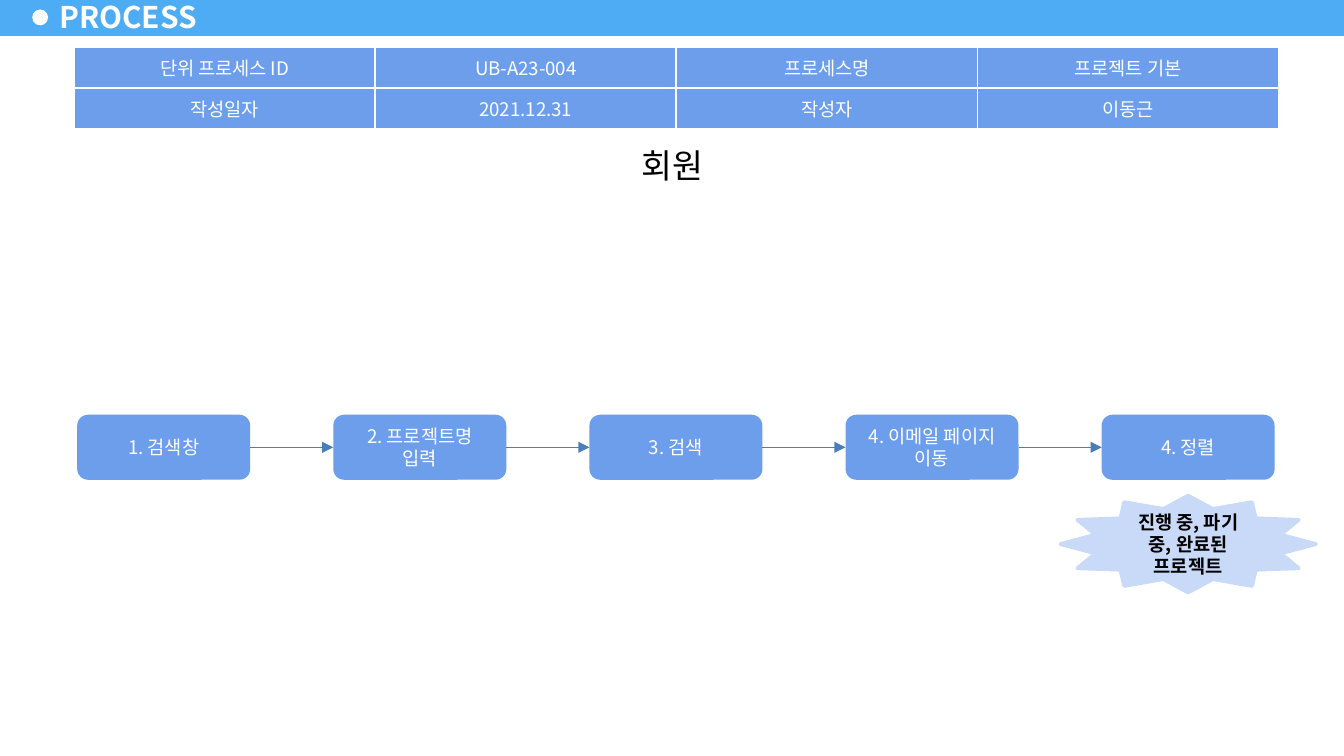
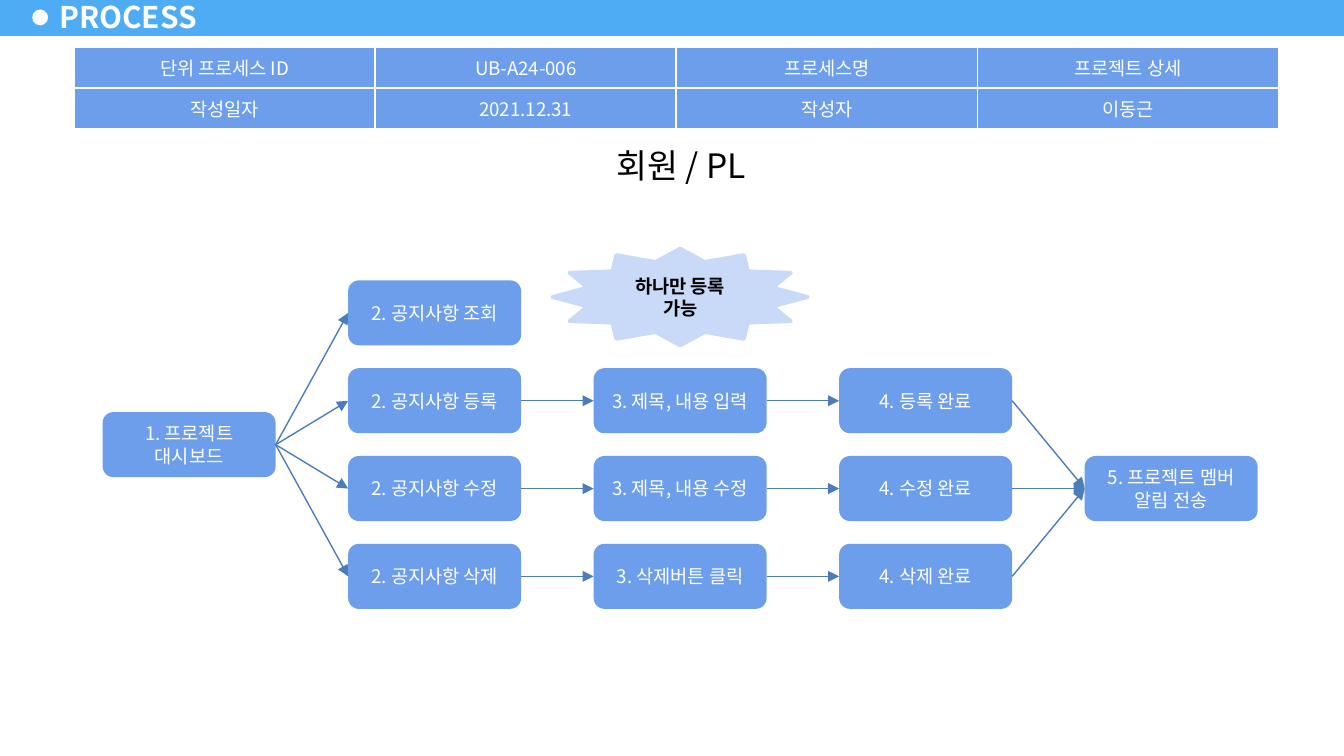
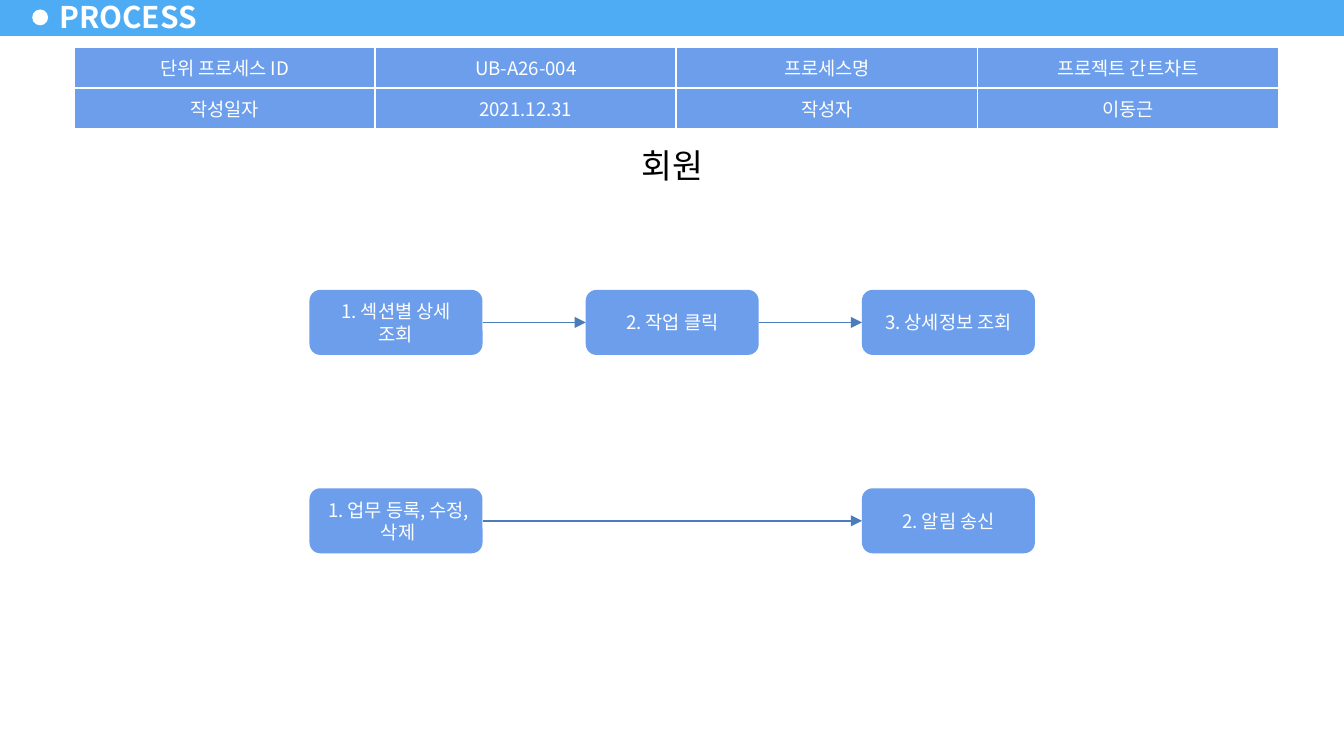
from dataclasses import dataclass

from lxml.etree import Element, SubElement
from pptx import Presentation
from pptx.dml.color import RGBColor
from pptx.enum.shapes import MSO_CONNECTOR, MSO_SHAPE, PP_PLACEHOLDER
from pptx.enum.text import MSO_ANCHOR, MSO_AUTO_SIZE, PP_ALIGN
from pptx.oxml.ns import qn
from pptx.util import Cm, Pt

WHITE = RGBColor(0xFF, 0xFF, 0xFF)
BLACK = RGBColor(0x00, 0x00, 0x00)
SKY = RGBColor(0x4D, 0xAC, 0xF3)
BLUE = RGBColor(0x6D, 0x9E, 0xEB)
PALE = RGBColor(0xC9, 0xDA, 0xF8)
ARROW = RGBColor(0x4A, 0x7D, 0xBA)

FONT = "Noto Sans CJK KR"
TITLE_FONT = {"name": FONT, "size": Pt(16), "bold": True}
HEADING_FONT = {"name": FONT, "size": Pt(18), "bold": False}
BODY_FONT = {"name": FONT, "size": Pt(10), "bold": False}
NOTE_FONT = {"name": FONT, "size": Pt(10), "bold": True}

MIDDLE = {"vertical_anchor": MSO_ANCHOR.MIDDLE, "word_wrap": True}
TITLE_FRAME = {
    **MIDDLE,
    "auto_size": MSO_AUTO_SIZE.NONE,
    "margin_left": Cm(0.23),
    "margin_right": Cm(0.23),
    "margin_top": Cm(0.1),
    "margin_bottom": Cm(0.1),
}
HEADING_FRAME = {
    "vertical_anchor": MSO_ANCHOR.TOP,
    "word_wrap": True,
    "auto_size": MSO_AUTO_SIZE.SHAPE_TO_FIT_TEXT,
}

STEP_WIDTH, STEP_HEIGHT = 3.27, 1.23
NOTE_WIDTH, NOTE_HEIGHT = 4.83, 1.83
RIGHT_SIDE, LEFT_SIDE = 3, 1


@dataclass
class Box:
    left: float
    top: float
    width: float
    height: float

    def lengths(self):
        return [Cm(value) for value in (self.left, self.top, self.width, self.height)]


BAND = Box(0, -0.04, 25.4, 0.72)
TITLE = Box(0.89, -0.1, 3.1, 0.81)
SUMMARY = Box(1.4, 0.9, 22.76, 1.45)


def apply(target, values):
    for key, value in values.items():
        setattr(target, key, value)


def write(frame, text, font, color, layout, align=PP_ALIGN.CENTER):
    apply(frame, layout)
    paragraph = frame.paragraphs[0]
    paragraph.alignment = align
    run = paragraph.add_run()
    run.text = text
    apply(run.font, font)
    run.font.color.rgb = color


def add_block(slide, preset, box, fill):
    block = slide.shapes.add_shape(preset, *box.lengths())
    block.shadow.inherit = False
    block.fill.solid()
    block.fill.fore_color.rgb = fill
    block.line.fill.background()
    return block


def share_band(slide, box):
    layout = slide.slide_layout
    for placeholder in list(layout.placeholders):
        if placeholder.placeholder_format.type != PP_PLACEHOLDER.TITLE:
            placeholder.element.getparent().remove(placeholder.element)
    dot = Box(box.left + 0.61, box.top + 0.22, 0.3, 0.3)
    for preset, place, fill in (
        (MSO_SHAPE.RECTANGLE, box, SKY),
        (MSO_SHAPE.OVAL, dot, WHITE),
    ):
        layout.shapes.element.append(add_block(slide, preset, place, fill).element)


def add_title(slide, box):
    title = slide.shapes.title
    title.left, title.top, title.width, title.height = box.lengths()
    write(title.text_frame, "PROCESS", TITLE_FONT, WHITE, TITLE_FRAME, PP_ALIGN.LEFT)


def add_summary(slide, box, process_id, process_name):
    rows = (
        ("단위 프로세스 ID", process_id, "프로세스명", process_name),
        ("작성일자", "2021.12.31", "작성자", "이동근"),
    )
    frame = slide.shapes.add_table(len(rows), len(rows[0]), *box.lengths())
    summary = frame.table
    apply(summary, {"first_row": False, "horz_banding": False})
    for row, texts in enumerate(rows):
        for column, text in enumerate(texts):
            cell = summary.cell(row, column)
            cell.vertical_anchor = MSO_ANCHOR.MIDDLE
            cell.fill.solid()
            cell.fill.fore_color.rgb = BLUE
            write(cell.text_frame, text, BODY_FONT, WHITE, {})
    for properties in frame.element.iter(qn("a:tcPr")):
        for position, side in enumerate(("a:lnL", "a:lnR", "a:lnT", "a:lnB")):
            border = Element(qn(side), w=str(Pt(1)))
            SubElement(SubElement(border, qn("a:solidFill")), qn("a:srgbClr"), val=str(WHITE))
            properties.insert(position, border)


def add_heading(slide, box, text):
    heading = add_block(slide, MSO_SHAPE.RECTANGLE, box, WHITE)
    write(heading.text_frame, text, HEADING_FONT, BLACK, HEADING_FRAME)


def add_arrow(slide, source, target):
    arrow = slide.shapes.add_connector(MSO_CONNECTOR.STRAIGHT, 0, 0, 0, 0)
    arrow.begin_connect(source, RIGHT_SIDE)
    arrow.end_connect(target, LEFT_SIDE)
    arrow.line.color.rgb = ARROW
    arrow.line.width = Pt(0.75)
    properties = arrow.element.spPr
    SubElement(properties.get_or_add_ln(), qn("a:tailEnd"), type="triangle")
    SubElement(properties, qn("a:effectLst"))


def add_flow(slide, box, steps, links):
    last_column = max(column for column, row in steps)
    last_row = max(row for column, row in steps)
    across = (box.width - STEP_WIDTH) / max(last_column, 1)
    down = (box.height - STEP_HEIGHT) / max(last_row, 1)
    blocks = {}
    for (column, row), text in steps.items():
        place = Box(box.left + column * across, box.top + row * down, STEP_WIDTH, STEP_HEIGHT)
        block = add_block(slide, MSO_SHAPE.ROUNDED_RECTANGLE, place, BLUE)
        write(block.text_frame, text, BODY_FONT, WHITE, MIDDLE)
        blocks[column, row] = block
    for source, target in links:
        add_arrow(slide, blocks[source], blocks[target])


def add_note(slide, box, text):
    note = add_block(slide, MSO_SHAPE.STAR_12_POINT, box, PALE)
    note.line.color.rgb = PALE
    note.line.width = Pt(2)
    write(note.text_frame, text, NOTE_FONT, BLACK, MIDDLE)


def chain(*stops):
    return list(zip(stops, stops[1:]))


SEARCH_STEPS = {
    (0, 0): "1. 검색창",
    (1, 0): "2. 프로젝트명 입력",
    (2, 0): "3. 검색",
    (3, 0): "4. 이메일 페이지 이동",
    (4, 0): "4. 정렬",
}
DASHBOARD, ALERT = (0, 1.5), (4, 2)
NOTICE_STEPS = {
    DASHBOARD: "1. 프로젝트 대시보드",
    (1, 0): "2. 공지사항 조회",
    (1, 1): "2. 공지사항 등록",
    (1, 2): "2. 공지사항 수정",
    (1, 3): "2. 공지사항 삭제",
    (2, 1): "3. 제목, 내용 입력",
    (2, 2): "3. 제목, 내용 수정",
    (2, 3): "3. 삭제버튼 클릭",
    (3, 1): "4. 등록 완료",
    (3, 2): "4. 수정 완료",
    (3, 3): "4. 삭제 완료",
    ALERT: "5. 프로젝트 멤버 알림 전송",
}
NOTICE_LINKS = chain(DASHBOARD, (1, 0))
for notice_row in (1, 2, 3):
    NOTICE_LINKS += chain(DASHBOARD, *((column, notice_row) for column in (1, 2, 3)), ALERT)
GANTT_STEPS = {
    (0, 0): "1. 섹션별 상세 조회",
    (1, 0): "2. 작업 클릭",
    (2, 0): "3. 상세정보 조회",
    (0, 1): "1. 업무 등록, 수정, 삭제",
    (2, 1): "2. 알림 송신",
}

PROCESSES = (
    {
        "summary": ("UB-A23-004", "프로젝트 기본"),
        "heading": (10.08, "회원"),
        "flow": (Box(1.46, 7.84, 22.63, STEP_HEIGHT), SEARCH_STEPS, chain(*SEARCH_STEPS)),
        "notes": [(20.04, 9.37, "진행 중, 파기 중, 완료된 프로젝트")],
    },
    {
        "summary": ("UB-A24-006", "프로젝트 상세"),
        "heading": (10.24, "회원 / PL"),
        "flow": (Box(1.94, 5.3, 21.83, 6.21), NOTICE_STEPS, NOTICE_LINKS),
        "notes": [(10.44, 4.7, "하나만 등록 가능")],
    },
    {
        "summary": ("UB-A26-004", "프로젝트 간트차트"),
        "heading": (10.08, "회원"),
        "flow": (
            Box(5.85, 5.48, 13.71, 4.98),
            GANTT_STEPS,
            chain((0, 0), (1, 0), (2, 0)) + chain((0, 1), (2, 1)),
        ),
        "notes": [],
    },
)


def add_process(slide, process):
    add_title(slide, TITLE)
    add_summary(slide, SUMMARY, *process["summary"])
    heading_left, heading = process["heading"]
    add_heading(slide, Box(heading_left, 2.62, 5.26, 1.04), heading)
    add_flow(slide, *process["flow"])
    for left, top, text in process["notes"]:
        add_note(slide, Box(left, top, NOTE_WIDTH, NOTE_HEIGHT), text)
    for latin in list(slide.element.iter(qn("a:latin"))):
        latin.addnext(Element(qn("a:ea"), typeface=FONT))


def main():
    deck = Presentation()
    deck.slide_width, deck.slide_height = Cm(25.4), Cm(14.29)
    title_only = deck.slide_layouts[5]
    slides = [deck.slides.add_slide(title_only) for process in PROCESSES]
    share_band(slides[0], BAND)
    for slide, process in zip(slides, PROCESSES):
        add_process(slide, process)
    deck.save("out.pptx")


if __name__ == "__main__":
    main()
